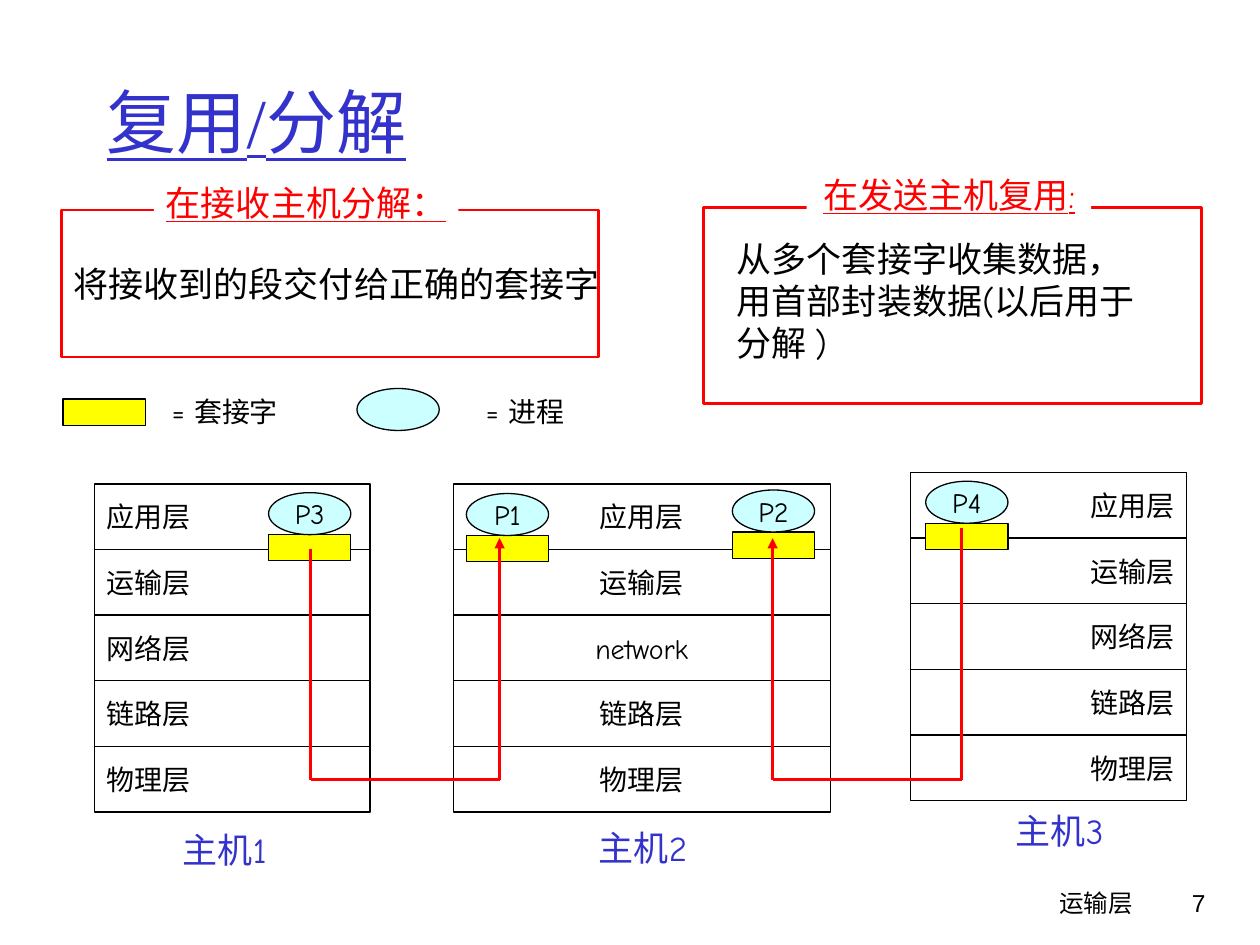
from lxml import etree
from pptx import Presentation
from pptx.dml.color import RGBColor
from pptx.enum.shapes import MSO_CONNECTOR, MSO_SHAPE
from pptx.enum.text import MSO_ANCHOR, MSO_AUTO_SIZE, PP_ALIGN
from pptx.oxml.ns import qn
from pptx.util import Pt

RECT, OVAL = MSO_SHAPE.RECTANGLE, MSO_SHAPE.OVAL
STRAIGHT = MSO_CONNECTOR.STRAIGHT
LEFT, CENTER, RIGHT = PP_ALIGN.LEFT, PP_ALIGN.CENTER, PP_ALIGN.RIGHT
TOP, MIDDLE = MSO_ANCHOR.TOP, MSO_ANCHOR.MIDDLE
FIXED, GROW = MSO_AUTO_SIZE.NONE, MSO_AUTO_SIZE.SHAPE_TO_FIT_TEXT
BLACK, WHITE, RED, BLUE = "000000", "FFFFFF", "FF0000", "3333CC"
YELLOW, CYAN = "FFFF00", "CCFFFF"
FONT = "Comic Neue"

# Content: layer stacks as (left, top, width, alignment, layers)
LAYERS = ["应用层", "运输层", "网络层", "链路层", "物理层"]
LAYERS_2 = ["应用层", "运输层", "network", "链路层", "物理层"]
STACKS = [
    (54, 276.5, 157.5, LEFT, LAYERS),
    (520.5, 270, 157.5, RIGHT, LAYERS),
    (259, 276.5, 215.5, CENTER, LAYERS_2),
]
ROW_H = 37.5
# Processes sitting on sockets: (name, left, top)
PROCESSES = [("P2", 418.5, 280), ("P3", 153.5, 281.5),
             ("P4", 529, 275), ("P1", 266.5, 282)]
MARK_W, SOCKET_H, PROCESS_H = 47, 15, 24
# Data flows: (sender x, sender y, receiver x, receiver y)
FLOWS = [(177.5, 313.75, 285.5, 307.5), (549.5, 301.5, 441.5, 307.5)]
FLOW_BOTTOM = 445.5

# Text boxes: (text, left, top, width, height, format)
HOST = dict(size=20, color=BLUE, align=CENTER, fit=GROW)
LEGEND = dict(size=16, align=CENTER, fit=GROW)
HEADING = dict(size=20, color=RED, underline=True, align=CENTER)
FOOTER = dict(size=14, align=RIGHT, wrap=True)
LABELS = [
    ("运输层", 426.5, 504, 228, 36, FOOTER),
    ("7", 643, 504, 53, 36, dict(FOOTER, name="Arial")),
    ("复用/分解", 54, 24, 612, 90,
     dict(size=40, color=BLUE, underline=True, name="Times New Roman",
          anchor=MIDDLE, wrap=True)),
    ("主机1", 91, 470, 75, 31.5, HOST),
    ("主机2", 330, 469, 75, 31.5, HOST),
    ("主机3", 568, 459, 75, 31.5, HOST),
    ("= 进程", 265, 222, 70, 26.5, LEGEND),
    ("= 套接字", 86, 222, 85, 26.5, LEGEND),
    ("从多个套接字收集数据，用首部封装数据(以后用于分解 )",
     414, 132, 252, 79, dict(size=20, wrap=True)),
]
DEMUX_TEXT = "将接收到的段交付给正确的套接字"
# Frames: (text, box) and headings over their top edges
FRAMES = [(DEMUX_TEXT, (35, 120, 307, 84)), ("", (402, 118.5, 284.5, 112))]
HEADINGS = [("在接收主机分解：", (88, 100, 174, 31.5)),
            ("在发送主机复用:", (461, 95.5, 162.5, 31.5))]


def rgb(value):
    return RGBColor.from_string(value)


def write(sp, text, size=16, color=BLACK, name=FONT, underline=None,
          align=LEFT, anchor=TOP, wrap=False, fit=FIXED):
    tf = sp.text_frame
    tf.word_wrap, tf.vertical_anchor, tf.auto_size = wrap, anchor, fit
    p = tf.paragraphs[0]
    p.alignment = align
    r = p.add_run()
    r.text = text
    for key, value in dict(size=Pt(size), name=name, underline=underline).items():
        setattr(r.font, key, value)
    r.font.color.rgb = rgb(color)


def shape(kind, box, fill=None, line=BLACK, weight=0.75):
    sp = s.shapes.add_shape(kind, *map(Pt, box))
    sp.shadow.inherit = False
    if fill:
        sp.fill.solid()
        sp.fill.fore_color.rgb = rgb(fill)
    else:
        sp.fill.background()
    if line:
        sp.line.color.rgb = rgb(line)
        sp.line.width = Pt(weight)
    else:
        sp.line.fill.background()
    return sp


def flow_line(x1, y1, x2, y2, arrow=False):
    c = s.shapes.add_connector(STRAIGHT, Pt(x1), Pt(y1), Pt(x2), Pt(y2))
    c.line.color.rgb = rgb(RED)
    c.line.width = Pt(1.5)
    if arrow:
        etree.SubElement(c.line._get_or_add_ln(), qn("a:tailEnd"), type="triangle")
    etree.SubElement(c._element.spPr, qn("a:effectLst"))


prs = Presentation()
prs.slide_width, prs.slide_height = Pt(720), Pt(540)
s = prs.slides.add_slide(prs.slide_layouts[6])

# Protocol stacks
for left, top, width, align, layers in STACKS:
    for i, layer in enumerate(layers):
        sp = shape(RECT, (left, top + i * ROW_H, width, ROW_H), WHITE)
        write(sp, layer, align=align, anchor=MIDDLE)

# Sockets and processes
for name, left, top in PROCESSES:
    shape(RECT, (left, top + PROCESS_H, MARK_W, SOCKET_H), YELLOW)
    sp = shape(OVAL, (left, top, MARK_W, PROCESS_H), CYAN)
    write(sp, name, align=CENTER, anchor=MIDDLE)

# Flows down one stack, across and up the next
for x1, y1, x2, y2 in FLOWS:
    flow_line(x1, y1, x1, FLOW_BOTTOM)
    flow_line(x2, FLOW_BOTTOM, x2, y2, arrow=True)
    flow_line(x1, FLOW_BOTTOM, x2, FLOW_BOTTOM)

# Legend marks
shape(RECT, (36, 228, MARK_W, SOCKET_H), YELLOW)
shape(OVAL, (204, 222, MARK_W, PROCESS_H), CYAN)

# Definition frames with headings
for text, box in FRAMES:
    sp = shape(RECT, box, line=RED, weight=1.5)
    if text:
        write(sp, text, size=20, anchor=MIDDLE)
for text, box in HEADINGS:
    write(shape(RECT, box, WHITE, line=None), text, **HEADING)

# Title, labels and footer
for text, left, top, width, height, fmt in LABELS:
    write(s.shapes.add_textbox(Pt(left), Pt(top), Pt(width), Pt(height)), text, **fmt)

prs.save("out.pptx")
